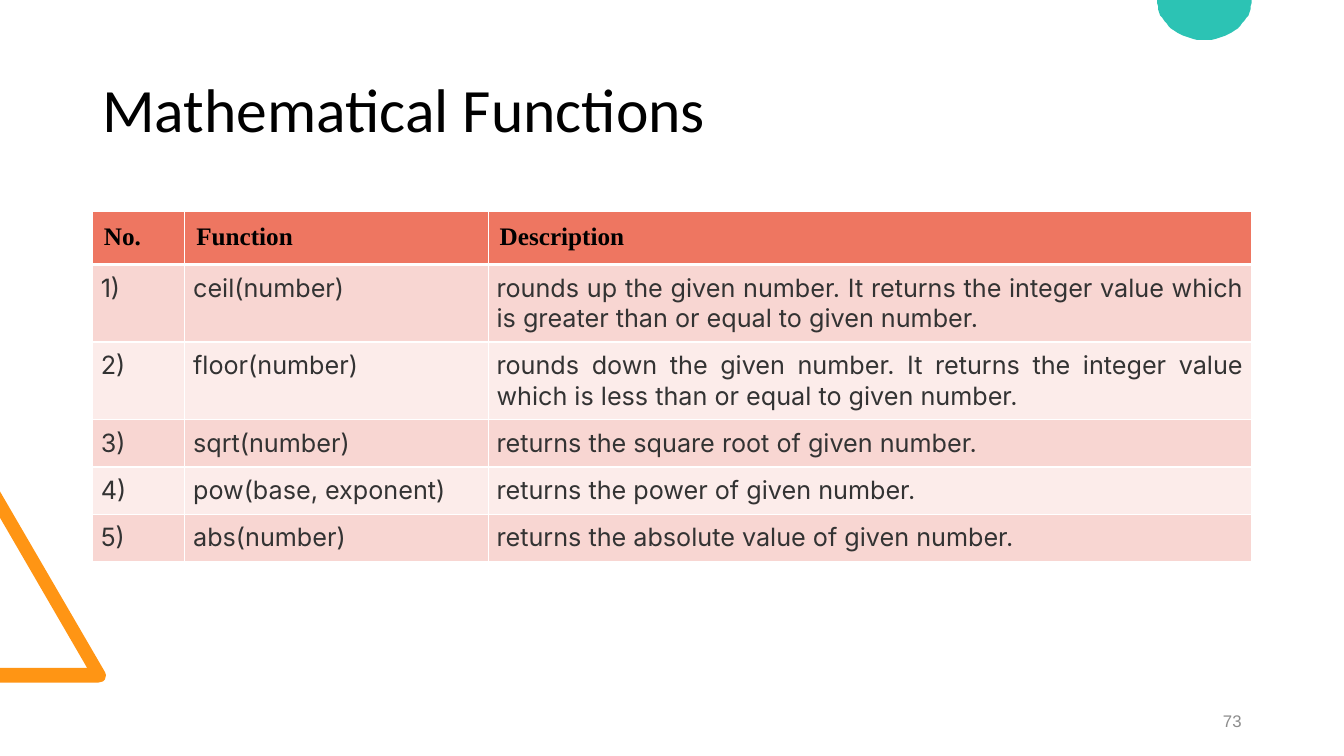
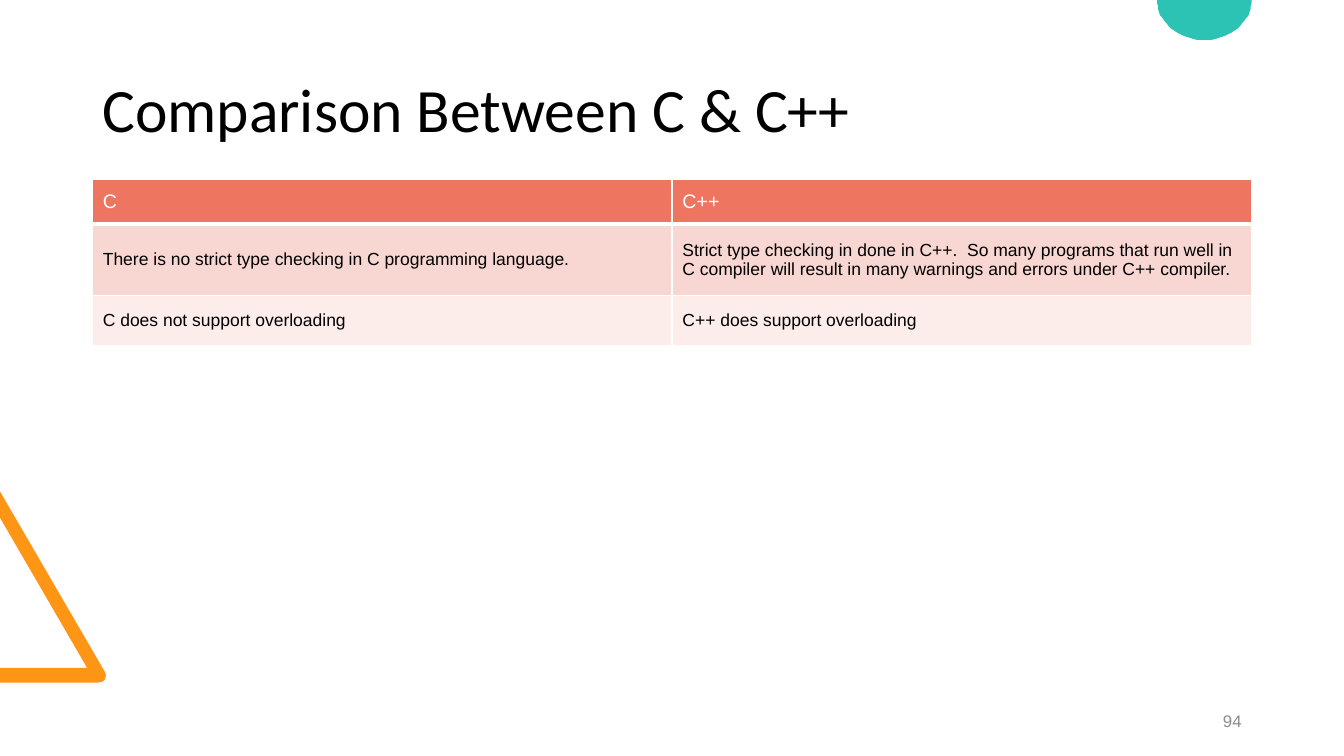
import math
import lxml.etree
import pptx
import pptx.dml.color
import pptx.enum.text
import pptx.oxml.ns
import pptx.util

RGB = pptx.dml.color.RGBColor
ALIGN = pptx.enum.text.PP_ALIGN
ANCHOR = pptx.enum.text.MSO_ANCHOR
PX = 9525

BLACK = RGB(0x00, 0x00, 0x00)
WHITE = RGB(0xFF, 0xFF, 0xFF)
DARK = RGB(0x33, 0x33, 0x33)
GRAY = RGB(0x8C, 0x8C, 0x8C)
ORANGE = RGB(0xFF, 0x95, 0x14)
TEAL = RGB(0x2C, 0xC3, 0xB4)
CORAL = RGB(0xEE, 0x76, 0x61)
BANDS = [RGB(0xFC, 0xEC, 0xEA), RGB(0xF8, 0xD6, 0xD2)]

TITLE = {"name": "Calibri", "size": 44, "color": BLACK}
NUMBER = {"name": "Arial", "size": 12, "color": GRAY}

TRIANGLE = [(0, 650), (0, 636), (83, 636), (0, 493), (0, 468), (100, 640),
            (101, 643), (100, 647), (98, 649), (94, 650)]
ARC = [(1147 + 45 * math.cos(math.pi * i / 40), 38 * math.sin(math.pi * i / 40))
       for i in range(41)]

SLIDES = [
    {
        "title": "Mathematical Functions",
        "number": "73",
        "top": 201,
        "cols": [88, 289, 727],
        "heights": [50, 74, 74, 45, 45, 45],
        "anchor": ANCHOR.TOP,
        "head": {"name": "Times New Roman", "size": 18, "color": BLACK, "bold": True},
        "body": {"name": "Inter", "size": 18, "color": DARK, "bold": False},
        "head_inset": (11, 11),
        "body_inset": (8, 8),
        "align": ALIGN.JUSTIFY,
        "rows": [
            ["No.", "Function", "Description"],
            ["1)", "ceil(number)", "rounds up the given number. It returns the integer "
             "value which is greater than or equal to given number."],
            ["2)", "floor(number)", "rounds down the given number. It returns the integer "
             "value which is less than or equal to given number."],
            ["3)", "sqrt(number)", "returns the square root of given number."],
            ["4)", "pow(base, exponent)", "returns the power of given number."],
            ["5)", "abs(number)", "returns the absolute value of given number."],
        ],
    },
    {
        "title": "Comparison Between C & C++",
        "number": "94",
        "top": 171,
        "cols": [552, 552],
        "heights": [40, 66, 46],
        "anchor": ANCHOR.MIDDLE,
        "head": {"name": "Arial", "size": 14, "color": WHITE, "bold": False},
        "body": {"name": "Arial", "size": 12.5, "color": BLACK, "bold": False},
        "head_inset": (10, 10),
        "body_inset": (10, 14),
        "align": ALIGN.LEFT,
        "rows": [
            ["C", "C++"],
            ["There is no strict type checking in C programming language.",
             "Strict type checking in done in C++.  So many programs that run well in "
             "C compiler will result in many warnings and errors under C++ compiler."],
            ["C does not support overloading", "C++ does support overloading"],
        ],
    },
]


def write(tf, text, style, align):
    tf.word_wrap = True
    p = tf.paragraphs[0]
    p.alignment = align
    r = p.add_run()
    r.text = text
    for key, value in style.items():
        if key == "color":
            r.font.color.rgb = value
        else:
            setattr(r.font, key, pptx.util.Pt(value) if key == "size" else value)
    return p


def border(cell, side, width):
    qn = pptx.oxml.ns.qn
    ln = lxml.etree.SubElement(cell._tc.get_or_add_tcPr(), qn("a:ln" + side),
                               w=str(pptx.util.Pt(width)))
    fill = lxml.etree.SubElement(ln, qn("a:solidFill"))
    lxml.etree.SubElement(fill, qn("a:srgbClr"), val=str(WHITE))


prs = pptx.Presentation()
prs.slide_width, prs.slide_height = 1280 * PX, 720 * PX

for spec_ in SLIDES:
    s = prs.slides.add_slide(prs.slide_layouts[6])

    for points, color in [(TRIANGLE, ORANGE), (ARC, TEAL)]:
        fb = s.shapes.build_freeform(*points[0], scale=PX)
        fb.add_line_segments(points[1:], close=True)
        sp = fb.convert_to_shape()
        sp.shadow.inherit = False
        sp.fill.solid()
        sp.fill.fore_color.rgb = color
        sp.line.fill.background()

    for text, box, style, align, spacing in [
        (spec_["title"], (88, 38, 1104, 139), TITLE, ALIGN.LEFT, 0.9),
        (spec_["number"], (904, 667, 288, 38), NUMBER, ALIGN.RIGHT, 1.0),
    ]:
        tf = s.shapes.add_textbox(*[v * PX for v in box]).text_frame
        tf.vertical_anchor = ANCHOR.MIDDLE
        write(tf, text, style, align).line_spacing = spacing

    rows, cols, heights = spec_["rows"], spec_["cols"], spec_["heights"]
    table = s.shapes.add_table(len(rows), len(cols), 88 * PX, spec_["top"] * PX,
                               sum(cols) * PX, sum(heights) * PX).table
    table.first_row = table.horz_banding = False
    for column, width in zip(table.columns, cols):
        column.width = width * PX
    for i, row in enumerate(rows):
        table.rows[i].height = heights[i] * PX
        part = "body" if i else "head"
        dx, dy = spec_[part + "_inset"]
        for j, text in enumerate(row):
            cell = table.cell(i, j)
            for side in "LRTB":
                border(cell, side, 3 if (i, side) in [(0, "B"), (1, "T")] else 1)
            cell.fill.solid()
            cell.fill.fore_color.rgb = BANDS[i % 2] if i else CORAL
            cell.vertical_anchor = spec_["anchor"]
            cell.margin_left = cell.margin_right = dx * PX
            cell.margin_top = cell.margin_bottom = dy * PX
            write(cell.text_frame, text, spec_[part], spec_["align"] if i else ALIGN.LEFT)

prs.save("out.pptx")
